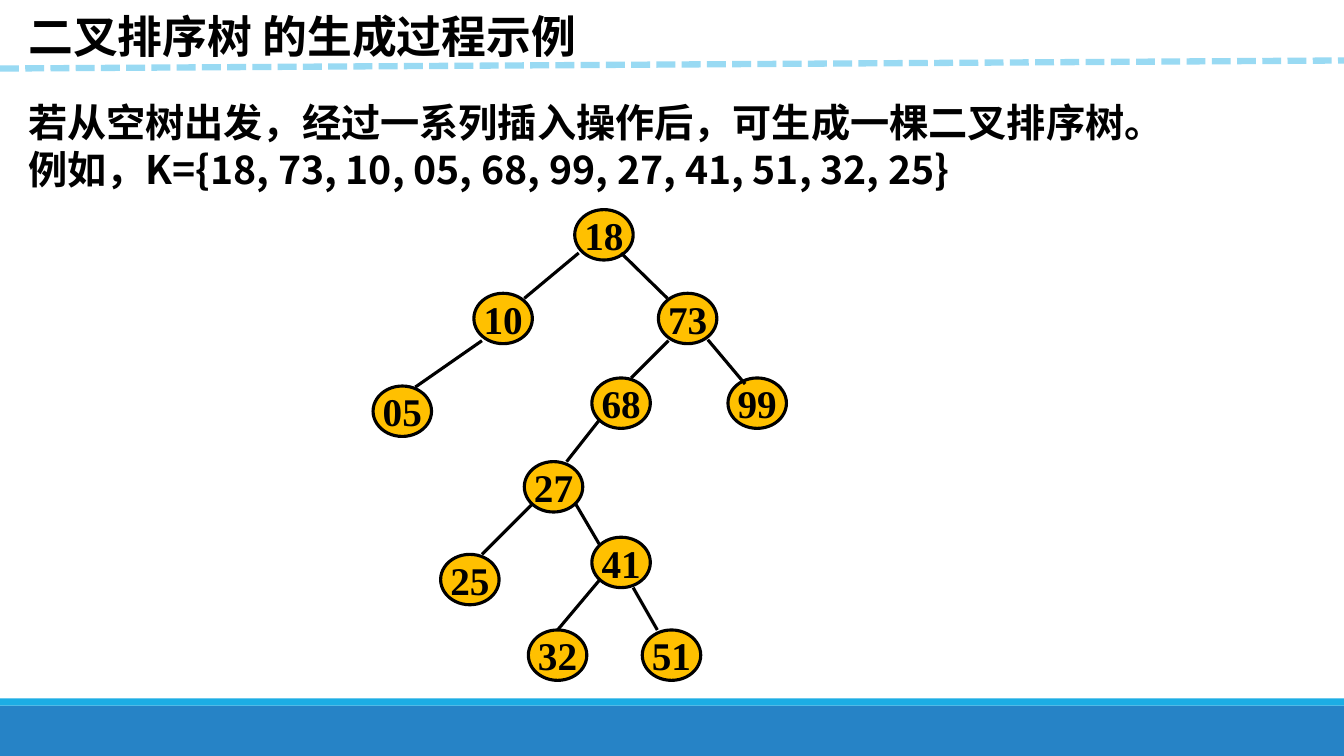
from lxml import etree
from pptx import Presentation
from pptx.dml.color import RGBColor
from pptx.enum.dml import MSO_LINE
from pptx.enum.shapes import MSO_CONNECTOR, MSO_SHAPE
from pptx.enum.text import MSO_ANCHOR, MSO_AUTO_SIZE, PP_ALIGN
from pptx.oxml.ns import qn
from pptx.util import Inches, Pt

RECT, OVAL = MSO_SHAPE.RECTANGLE, MSO_SHAPE.OVAL
STRAIGHT = MSO_CONNECTOR.STRAIGHT
DASH = MSO_LINE.SQUARE_DOT
TOP, MIDDLE = MSO_ANCHOR.TOP, MSO_ANCHOR.MIDDLE
LEFT, CENTER = PP_ALIGN.LEFT, PP_ALIGN.CENTER
NO_FIT = MSO_AUTO_SIZE.NONE
CJK, SERIF = "Noto Sans CJK SC", "Times New Roman"
BLACK = "000000"

TITLE = "二叉排序树 的生成过程示例"
BODY = [
    "若从空树出发，经过一系列插入操作后，可生成一棵二叉排序树。",
    "例如，K={18, 73, 10, 05, 68, 99, 27, 41, 51, 32, 25}",
]
NODE_SIZE = (0.58, 0.5)
NODES = [
    ("18", 5.7, 2.08, None),
    ("73", 6.53, 2.91, (6.16, 2.51, 6.62, 2.96)),
    ("10", 4.7, 2.91, (5.74, 2.51, 5.2, 2.96)),
    ("05", 3.7, 3.83, (4.78, 3.38, 4.12, 3.84)),
    ("68", 5.87, 3.75, (6.63, 3.38, 6.26, 3.75)),
    ("99", 7.22, 3.75, (7.02, 3.37, 7.39, 3.81)),
    ("27", 5.2, 4.58, (5.95, 4.16, 5.62, 4.58)),
    ("41", 5.87, 5.33, (5.71, 5, 5.95, 5.41)),
    ("51", 6.37, 6.25, (6.28, 5.83, 6.52, 6.25)),
    ("32", 5.24, 6.25, (5.95, 5.75, 5.53, 6.25)),
    ("25", 4.37, 5.5, (5.28, 5, 4.78, 5.5)),
]


def rgb(color):
    """Turn a hex string into a colour."""
    return RGBColor.from_string(color)


def add_run(p, text, size, font):
    """Add a bold black run in the given font."""
    r = p.add_run()
    r.text = text
    r.font.size = Pt(size)
    r.font.bold = True
    r.font.name = font
    r.font.color.rgb = rgb(BLACK)
    ea = etree.SubElement(r._r.get_or_add_rPr(), qn("a:ea"))
    ea.set("typeface", font)


def fill_text(sp, lines, size, spacing):
    """Write left-aligned paragraphs from the top of a text shape."""
    tf = sp.text_frame
    tf.word_wrap = True
    tf.auto_size = NO_FIT
    tf.vertical_anchor = TOP
    tf.margin_left = Inches(0.1)
    for i, line in enumerate(lines):
        p = tf.paragraphs[0] if i == 0 else tf.add_paragraph()
        p.alignment = LEFT
        p.line_spacing = Pt(spacing)
        add_run(p, line, size, CJK)


def add_shape(s, kind, box, fill):
    """Add a filled shape without outline or shadow."""
    sp = s.shapes.add_shape(kind, *map(Inches, box))
    sp.shadow.inherit = False
    sp.fill.solid()
    sp.fill.fore_color.rgb = rgb(fill)
    sp.line.fill.background()
    return sp


def add_line(s, ends, color, width):
    """Add a straight line without shadow."""
    line = s.shapes.add_connector(STRAIGHT, *map(Inches, ends))
    line.line.color.rgb = rgb(color)
    line.line.width = Pt(width)
    etree.SubElement(line._element.spPr, qn("a:effectLst"))
    return line


def add_node(s, key, left, top):
    """Add a tree node with its key."""
    sp = add_shape(s, OVAL, (left, top, *NODE_SIZE), "FFC000")
    sp.line.color.rgb = rgb(BLACK)
    sp.line.width = Pt(2.25)
    tf = sp.text_frame
    tf.word_wrap = False
    tf.vertical_anchor = MIDDLE
    p = tf.paragraphs[0]
    p.alignment = CENTER
    add_run(p, key, 28, SERIF)


def add_title(s):
    """Place and format the slide title."""
    sp = s.shapes.title
    sp.left, sp.top = Inches(0.18), Inches(0.03)
    sp.width, sp.height = Inches(5.9), Inches(0.64)
    fill_text(sp, [TITLE], 32, 39)


def main():
    """Build the slide and save it."""
    prs = Presentation()
    prs.slide_width, prs.slide_height = Inches(13.33), Inches(7.5)
    s = prs.slides.add_slide(prs.slide_layouts[5])
    add_shape(s, RECT, (0, 7, 13.33, 0.5), "2683C6")
    add_shape(s, RECT, (0, 6.93, 13.33, 0.07), "1CADE4")
    add_title(s)
    body = s.shapes.add_textbox(*map(Inches, (0.18, 0.92, 12.13, 1.04)))
    fill_text(body, BODY, 28, 34)
    for key, left, top, edge in NODES:
        add_node(s, key, left, top)
        if edge:
            add_line(s, edge, BLACK, 2.25)
    divider = add_line(s, (0, 0.68, 13.33, 0.6), "99DAF3", 4.5)
    divider.line.dash_style = DASH
    prs.save("out.pptx")


if __name__ == "__main__":
    main()
